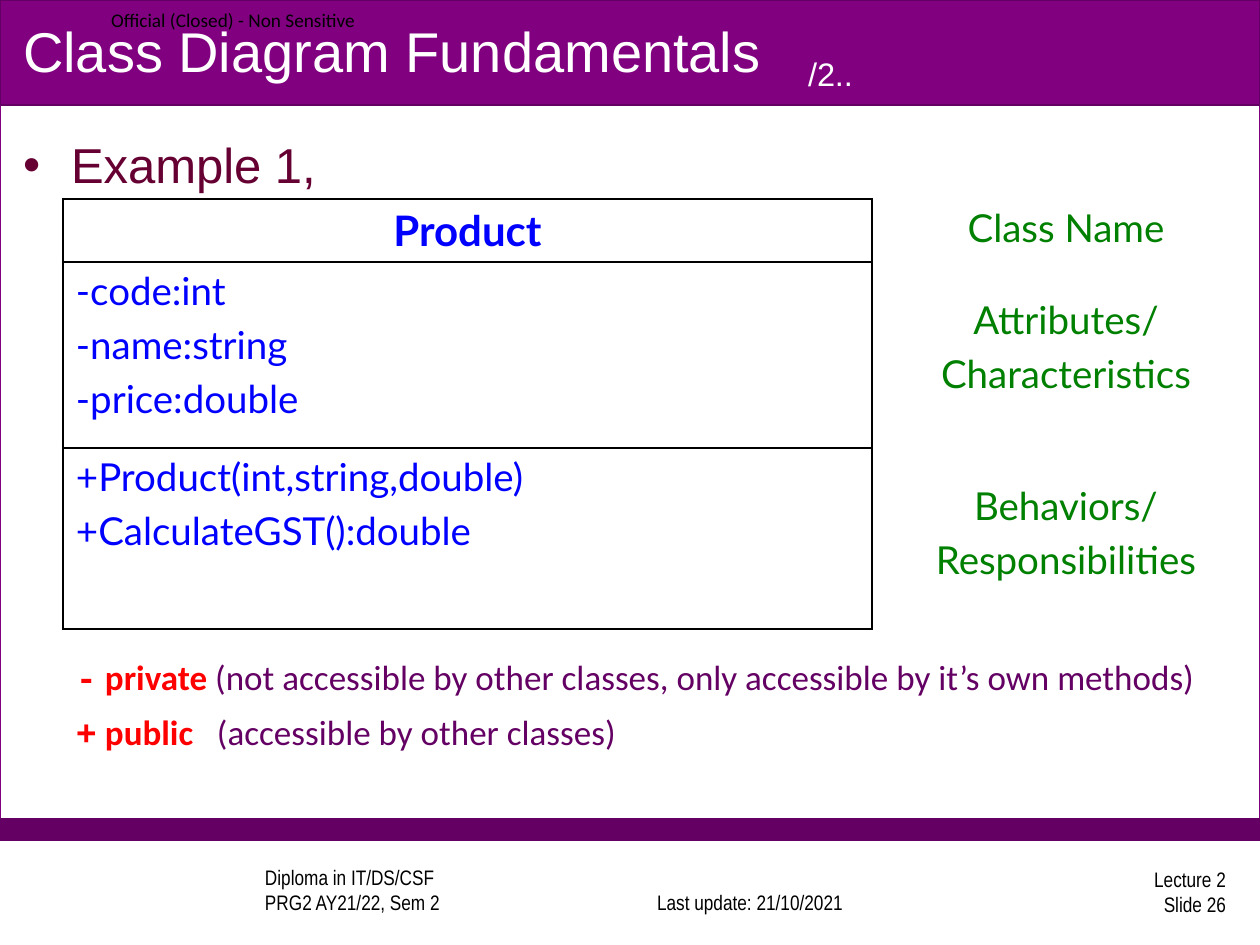
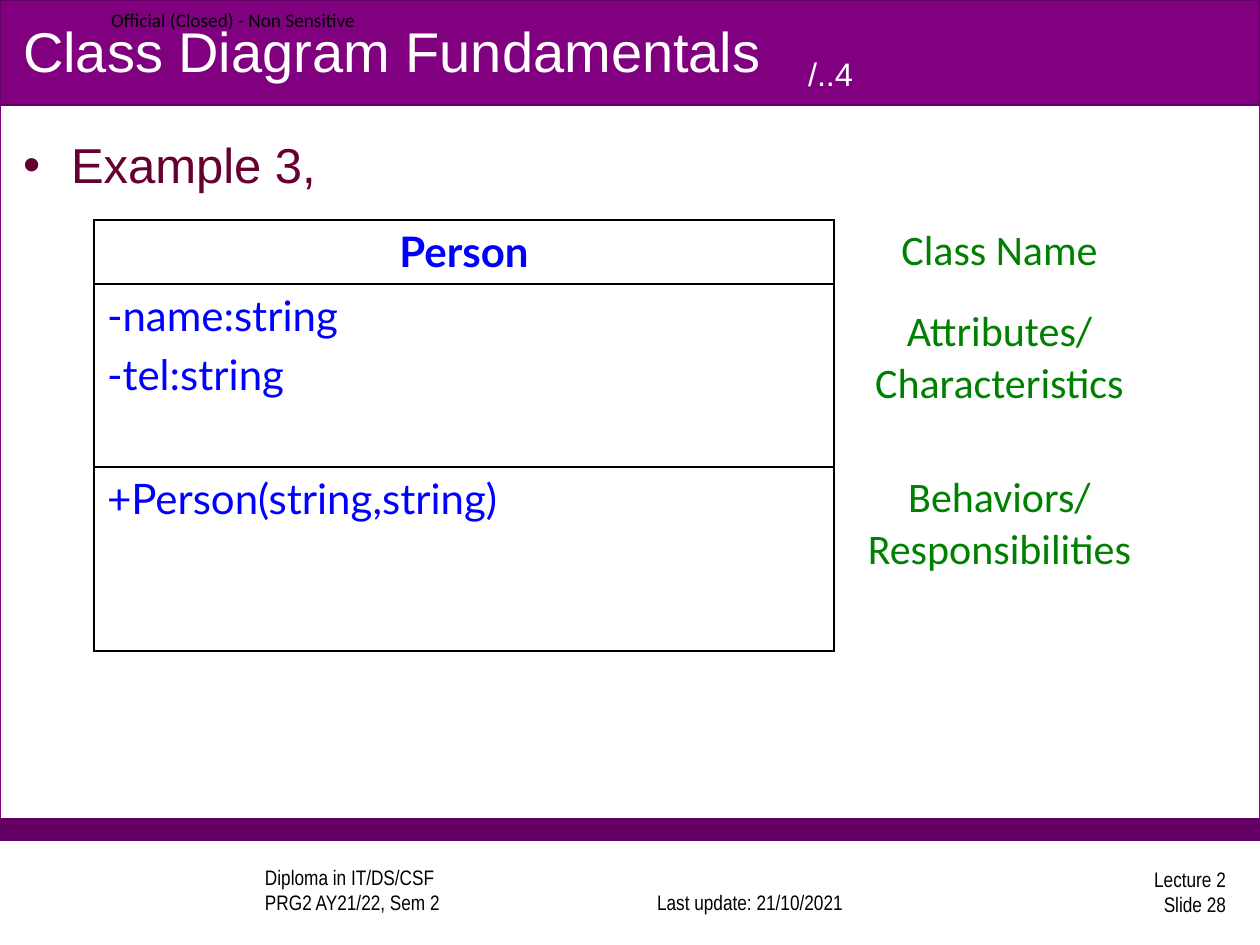
from lxml import etree
from pptx import Presentation
from pptx.dml.color import RGBColor
from pptx.enum.shapes import MSO_SHAPE
from pptx.enum.text import MSO_ANCHOR as ANCHOR, MSO_AUTO_SIZE, PP_ALIGN as ALIGN
from pptx.oxml.ns import qn
from pptx.util import Pt

EMU_PER_PX = 914400 / 126
SLIDE_WIDTH, SLIDE_HEIGHT = 1260, 945
INSET = (13, 6, 13, 6)

BLACK = RGBColor(0x00, 0x00, 0x00)
WHITE = RGBColor(0xFF, 0xFF, 0xFF)
PURPLE = RGBColor(0x80, 0x00, 0x80)
DARK_PURPLE = RGBColor(0x64, 0x00, 0x64)
MAROON = RGBColor(0x66, 0x00, 0x33)
BLUE = RGBColor(0x00, 0x00, 0xFF)
GREEN = RGBColor(0x00, 0x80, 0x00)
RED = RGBColor(0xFF, 0x00, 0x00)


def px(length):
    return round(length * EMU_PER_PX)


def add_bullet(paragraph, indent):
    properties = paragraph._p.get_or_add_pPr()
    properties.set("marL", str(px(indent)))
    properties.set("indent", str(-px(indent)))
    etree.SubElement(properties, qn("a:buFont")).set("typeface", "Arial")
    etree.SubElement(properties, qn("a:buChar")).set("char", "•")


def add_tab_stop(paragraph, position):
    tabs = etree.SubElement(paragraph._p.get_or_add_pPr(), qn("a:tabLst"))
    etree.SubElement(tabs, qn("a:tab"), pos=str(px(position)), algn="l")


def write(frame, lines, size, font="Arial", color=BLACK, bold=False,
          align=ALIGN.LEFT, gap=0, spacing=None, bullet=None, tab=None):
    for index, line in enumerate(lines):
        paragraph = frame.paragraphs[0] if index == 0 else frame.add_paragraph()
        if bullet:
            add_bullet(paragraph, bullet)
        if tab:
            add_tab_stop(paragraph, tab)
        paragraph.alignment = align
        paragraph.line_spacing = spacing
        paragraph.space_before = Pt(gap if index else 0)
        runs = [(line, {})] if isinstance(line, str) else line
        for text, changes in runs:
            run = paragraph.add_run()
            run.text = text
            run.font.size = Pt(size)
            run.font.name = changes.get("font", font)
            run.font.bold = changes.get("bold", bold)
            run.font.color.rgb = changes.get("color", color)
            if "baseline" in changes:
                run.font._element.set("baseline", str(changes["baseline"]))


def set_frame(frame, anchor=ANCHOR.TOP, inset=INSET, wrap=True):
    frame.auto_size = MSO_AUTO_SIZE.NONE
    frame.word_wrap = wrap
    frame.vertical_anchor = anchor
    (frame.margin_left, frame.margin_top,
     frame.margin_right, frame.margin_bottom) = map(px, inset)


def add_text(slide, box, lines, anchor=ANCHOR.TOP, inset=INSET, wrap=True, **text_format):
    shape = slide.shapes.add_textbox(*map(px, box))
    set_frame(shape.text_frame, anchor, inset, wrap)
    write(shape.text_frame, lines, **text_format)


def add_band(slide, box, fill, line):
    shape = slide.shapes.add_shape(MSO_SHAPE.RECTANGLE, *map(px, box))
    shape.shadow.inherit = False
    shape.fill.solid()
    shape.fill.fore_color.rgb = fill
    shape.line.color.rgb = line
    shape.line.width = Pt(0.75)


def add_background(slide):
    add_band(slide, (0, 0, SLIDE_WIDTH, 840), WHITE, PURPLE)
    add_band(slide, (0, 819, SLIDE_WIDTH, 21), DARK_PURPLE, DARK_PURPLE)
    add_band(slide, (0, 0, SLIDE_WIDTH, 105), PURPLE, DARK_PURPLE)
    add_text(slide, (111, 0, 268, 39), ["Official (Closed) - Non Sensitive"],
             anchor=ANCHOR.MIDDLE, inset=(0, 0, 0, 0), wrap=False,
             size=11, font="Calibri")


def add_footer(slide, number):
    small = {"size": 12, "font": "Arial Narrow"}
    add_text(slide, (252, 868, 336, 53), ["Diploma in IT/DS/CSF", "PRG2 AY21/22, Sem 2"],
             anchor=ANCHOR.BOTTOM, **small)
    add_text(slide, (619, 868, 262, 53), ["Last update: 21/10/2021"],
             anchor=ANCHOR.BOTTOM, align=ALIGN.CENTER, **small)
    add_text(slide, (977, 865, 262, 53), ["Lecture 2", f"Slide {number}"],
             anchor=ANCHOR.MIDDLE, align=ALIGN.RIGHT, **small)


def set_title(slide, part):
    title = slide.shapes.title
    title.left, title.top, title.width, title.height = map(px, (10, 16, 1239, 78))
    set_frame(title.text_frame, ANCHOR.MIDDLE)
    write(title.text_frame, [[("Class Diagram Fundamentals\t", {}),
                              (part, {"baseline": -25000})]],
          size=32, color=WHITE, tab=785)
    slide.shapes._spTree.append(title._element)


def set_borders(cell, black_sides):
    properties = cell._tc.get_or_add_tcPr()
    for index, side in enumerate(("lnL", "lnR", "lnT", "lnB")):
        line = etree.Element(qn(f"a:{side}"), w=str(Pt(1.5)))
        if side in black_sides:
            fill = etree.SubElement(line, qn("a:solidFill"))
            etree.SubElement(fill, qn("a:srgbClr"), val=str(BLACK))
        else:
            etree.SubElement(line, qn("a:noFill"))
        properties.insert(index, line)


def fill_cell(cell, lines, black_sides, top=6, **text_format):
    cell.fill.background()
    set_borders(cell, black_sides)
    cell.margin_left = cell.margin_right = px(13)
    cell.margin_top, cell.margin_bottom = px(top), px(6)
    write(cell.text_frame, lines, **text_format)


def add_class_table(slide, left, top, widths, heights, members, member_size,
                    label_format, label_tops):
    labels = (["Class Name"], ["Attributes/", "Characteristics"],
              ["Behaviors/", "Responsibilities"])
    table = slide.shapes.add_table(len(heights), len(widths), px(left), px(top),
                                   px(sum(widths)), px(sum(heights))).table
    table.first_row = table.horz_banding = False
    for column, width in zip(table.columns, widths):
        column.width = px(width)
    for index, height in enumerate(heights):
        table.rows[index].height = px(height)
        heading = index == 0
        fill_cell(table.cell(index, 0), members[index], ("lnL", "lnR", "lnT", "lnB"),
                  size=24 if heading else member_size, font="Lato", color=BLUE,
                  bold=heading, align=ALIGN.CENTER if heading else ALIGN.LEFT,
                  gap=member_size * 0.2)
        fill_cell(table.cell(index, 1), labels[index], ("lnL",), top=label_tops[index],
                  color=GREEN, align=ALIGN.CENTER, **label_format)


def add_visibility_legend(slide, box):
    entries = (("-", " private ", "(not accessible by other classes, "
                "only accessible by it’s own methods)"),
               ("+", " public\t", "(accessible by other classes)"))
    lines = [[(sign, {"font": "Courier New", "bold": True, "color": RED}),
              (keyword, {"bold": True, "color": RED}),
              (meaning, {})] for sign, keyword, meaning in entries]
    add_text(slide, box, lines, size=20, font="Calibri", color=DARK_PURPLE,
             gap=10, spacing=0.9, tab=141)


def add_example_slide(presentation, part, example, number, class_table):
    slide = presentation.slides.add_slide(presentation.slide_layouts[5])
    add_background(slide)
    add_footer(slide, number)
    set_title(slide, part)
    add_text(slide, (10, 129, 1239, 66), [example], size=28, color=MAROON, bullet=48)
    add_class_table(slide, **class_table)
    return slide


def main():
    presentation = Presentation()
    presentation.slide_width, presentation.slide_height = px(SLIDE_WIDTH), px(SLIDE_HEIGHT)

    product = dict(
        left=63, top=199, widths=(809, 388), heights=(63, 186, 181),
        members=(["Product"], ["-code:int", "-name:string", "-price:double"],
                 ["+Product(int,string,double)", "+CalculateGST():double"]),
        member_size=22, label_format=dict(size=22, font="Lato", gap=4.4),
        label_tops=(6, 35, 35))
    person = dict(
        left=94, top=220, widths=(740, 331), heights=(64, 183, 184),
        members=(["Person"], ["-name:string", "-tel:string"], ["+Person(string,string)"]),
        member_size=24, label_format=dict(size=24, font="Calibri"),
        label_tops=(6, 23, 6))

    product_slide = add_example_slide(presentation, "/2..", "Example 1,", 26, product)
    add_visibility_legend(product_slide, (63, 654, 1176, 136))
    add_example_slide(presentation, "/..4", "Example 3,", 28, person)
    presentation.save("out.pptx")


if __name__ == "__main__":
    main()
